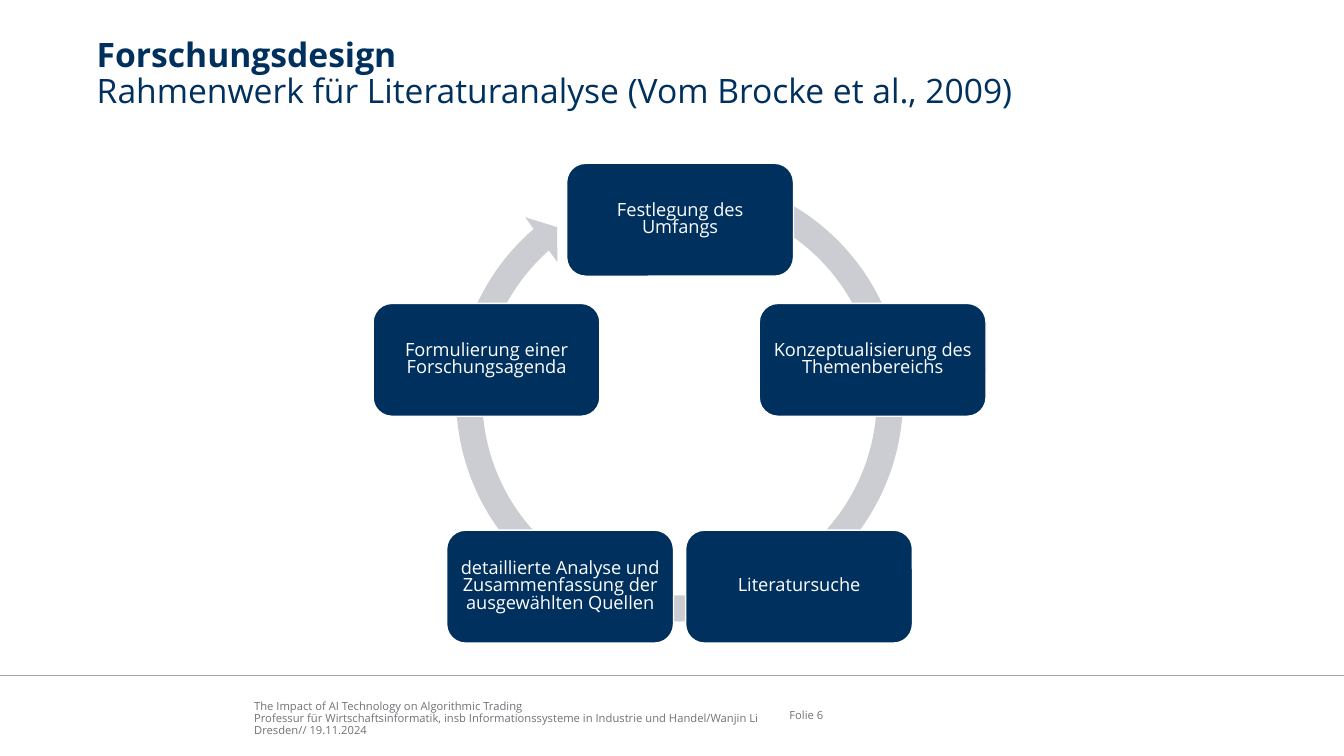
import math
from dataclasses import dataclass

from lxml import etree
from pptx import Presentation
from pptx import util as u
from pptx.dml import color
from pptx.enum import shapes, text
from pptx.oxml import ns


@dataclass(frozen=True)
class Theme:
    font: str = "Open Sans"
    navy: str = "00305D"
    ring: str = "CCCDD2"
    rule: str = "A6A6A6"
    muted: str = "727277"
    white: str = "FFFFFF"
    title_size: int = 24
    node_size: int = 13
    footer_size: int = 8


def px(n):
    return u.Emu(n * 9144)


def rgb(value):
    return color.RGBColor.from_string(value)


class SlideBuilder:
    def __init__(self, prs, theme):
        self.theme = theme
        self.s = prs.slides.add_slide(prs.slide_layouts[6])

    def fill_text(self, sp, lines, size, ink, inset=0, spacing=0.9,
                  anchor=text.MSO_ANCHOR.TOP, align=text.PP_ALIGN.LEFT):
        tf = sp.text_frame
        tf.word_wrap = True
        tf.vertical_anchor = anchor
        tf.margin_left = tf.margin_right = px(inset)
        tf.margin_top = tf.margin_bottom = px(inset)
        for i, (line, bold) in enumerate(lines):
            p = tf.add_paragraph() if i else tf.paragraphs[0]
            p.alignment = align
            p.line_spacing = spacing
            r = p.add_run()
            r.text = line
            r.font.name = self.theme.font
            r.font.size = u.Pt(size)
            r.font.bold = bold
            r.font.color.rgb = rgb(ink)

    def label(self, box, lines, size, ink, **style):
        sp = self.s.shapes.add_textbox(*map(px, box))
        self.fill_text(sp, lines, size, ink, **style)

    def shape(self, kind, box, fill, outline=None):
        sp = self.s.shapes.add_shape(kind, *map(px, box))
        sp.shadow.inherit = False
        sp.fill.solid()
        sp.fill.fore_color.rgb = rgb(fill)
        if outline:
            sp.line.color.rgb = rgb(outline)
            sp.line.width = u.Pt(1)
        else:
            sp.line.fill.background()
        return sp

    def cycle_arrow(self, box, adjustments):
        sp = self.shape(shapes.MSO_SHAPE.CIRCULAR_ARROW, box, self.theme.ring)
        for i, value in enumerate(adjustments):
            sp.adjustments[i] = value

    def node(self, box, caption):
        t = self.theme
        sp = self.shape(shapes.MSO_SHAPE.ROUNDED_RECTANGLE, box, t.navy, t.white)
        self.fill_text(sp, [(caption, False)], t.node_size, t.white, inset=5,
                       spacing=0.8, anchor=text.MSO_ANCHOR.MIDDLE,
                       align=text.PP_ALIGN.CENTER)

    def rule(self, x1, y1, x2, y2):
        line = self.s.shapes.add_connector(
            shapes.MSO_CONNECTOR.STRAIGHT, *map(px, (x1, y1, x2, y2)))
        line.line.color.rgb = rgb(self.theme.rule)
        line.line.width = u.Pt(1)
        etree.SubElement(line._element.spPr, ns.qn("a:effectLst"))


STEPS = [
    "Festlegung des Umfangs",
    "Konzeptualisierung des Themenbereichs",
    "Literatursuche",
    "detaillierte Analyse und Zusammenfassung der ausgewählten Quellen",
    "Formulierung einer Forschungsagenda",
]
FOOTER = [
    "The Impact of AI Technology on Algorithmic Trading",
    "Professur für Wirtschaftsinformatik, insb Informationssysteme in Industrie und Handel/Wanjin Li",
    "Dresden// 19.11.2024",
]
CENTER_X, CENTER_Y, RADIUS = 674, 419, 201
NODE_W, NODE_H = 225, 112


def main():
    prs = Presentation()
    prs.slide_width, prs.slide_height = px(1333), px(750)
    theme = Theme()
    slide = SlideBuilder(prs, theme)

    slide.label((252, 691, 509, 40), [(line, False) for line in FOOTER],
                theme.footer_size, theme.muted, anchor=text.MSO_ANCHOR.BOTTOM)
    slide.rule(0, 670, 1333, 670)
    slide.label((783, 690, 77, 40), [("Folie 6", False)],
                theme.footer_size, theme.muted, anchor=text.MSO_ANCHOR.MIDDLE)
    slide.label((96, 38, 1157, 75),
                [("Forschungsdesign", True),
                 ("Rahmenwerk für Literaturanalyse (Vom Brocke et al., 2009)", False)],
                theme.title_size, theme.navy)

    slide.cycle_arrow((438, 159, 472, 472), (0.055, 3.31, 137.34, 174.12, 0.058))
    for i, step in enumerate(STEPS):
        angle = math.tau * i / len(STEPS)
        left = round(CENTER_X + RADIUS * math.sin(angle) - NODE_W / 2)
        top = round(CENTER_Y - RADIUS * math.cos(angle) - NODE_H / 2)
        slide.node((left, top, NODE_W, NODE_H), step)

    prs.save("out.pptx")


if __name__ == "__main__":
    main()
